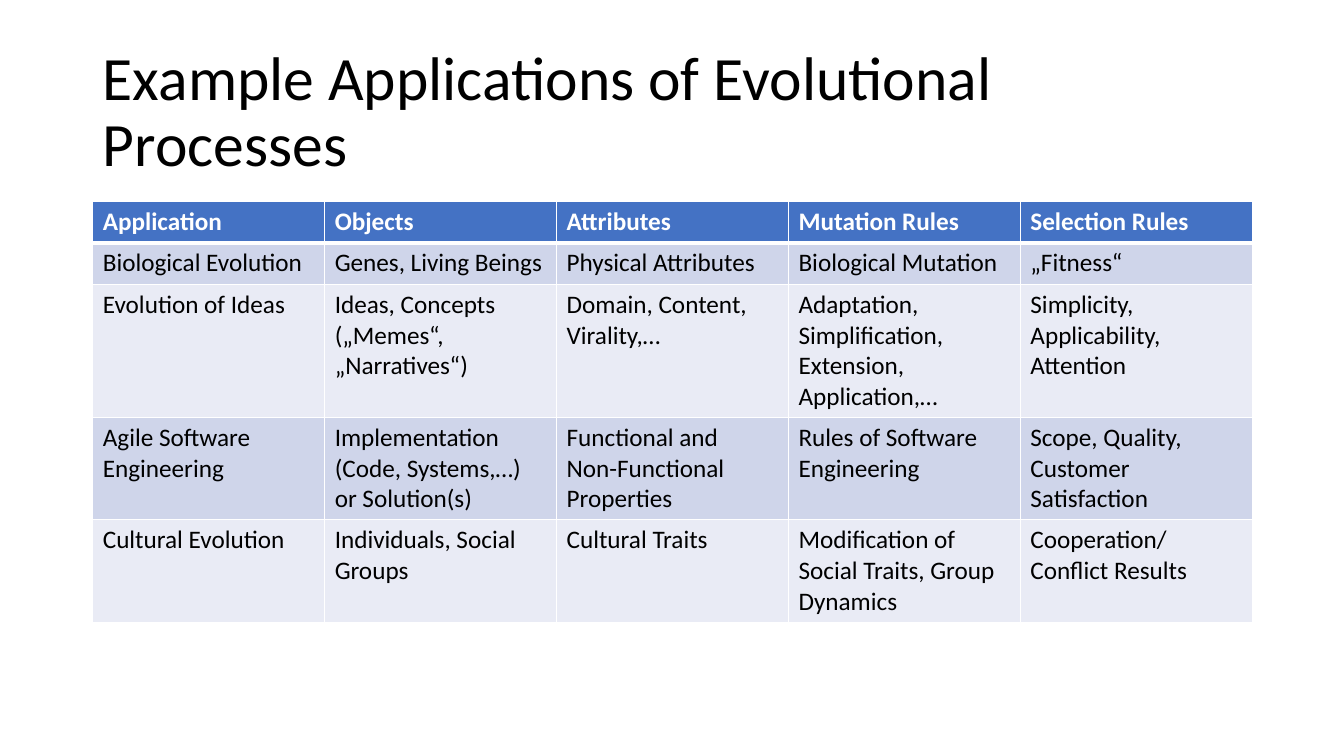
from lxml.etree import SubElement
from pptx import Presentation
from pptx.dml.color import RGBColor
from pptx.enum.text import MSO_ANCHOR, MSO_AUTO_SIZE, PP_ALIGN
from pptx.oxml.ns import qn
from pptx.util import Inches, Pt

TITLE = "Example Applications of Evolutional Processes"
ROWS = [
    ("Application", "Objects", "Attributes", "Mutation Rules", "Selection Rules"),
    ("Biological Evolution", "Genes, Living Beings", "Physical Attributes",
     "Biological Mutation", "„Fitness“"),
    ("Evolution of Ideas", "Ideas, Concepts („Memes“, „Narratives“)",
     "Domain, Content, Virality,…",
     "Adaptation, Simplification,\nExtension, Application,…",
     "Simplicity, Applicability, Attention"),
    ("Agile Software Engineering", "Implementation (Code, Systems,…) or Solution(s)",
     "Functional and\nNon-Functional Properties", "Rules of Software Engineering",
     "Scope, Quality, Customer Satisfaction"),
    ("Cultural Evolution", "Individuals, Social Groups", "Cultural Traits",
     "Modification of Social Traits, Group Dynamics", "Cooperation/ Conflict Results"),
]
FONT = "Calibri"
BLACK = RGBColor(0x00, 0x00, 0x00)
WHITE = RGBColor(0xFF, 0xFF, 0xFF)
HEADER_BLUE = RGBColor(0x44, 0x72, 0xC4)
BANDS = (RGBColor(0xE9, 0xEB, 0xF5), RGBColor(0xCF, 0xD5, 0xEA))
LEFT, WIDTH = 0.92, 11.5
TABLE_TOP, ROW_HEIGHT = 2, 0.41
THIN, THICK = 1, 3


def style_text(frame, size, color, bold=False):
    """Format every run of a text frame."""
    for para in frame.paragraphs:
        para.alignment = PP_ALIGN.LEFT
        for span in para.runs:
            span.font.name = FONT
            span.font.size = Pt(size)
            span.font.bold = bold
            span.font.color.rgb = color


def add_borders(cell, top, bottom):
    """Draw white borders around a cell."""
    properties = cell._tc.get_or_add_tcPr()
    for side, width in (("L", THIN), ("R", THIN), ("T", top), ("B", bottom)):
        line = SubElement(properties, qn(f"a:ln{side}"), w=str(Pt(width)))
        fill = SubElement(line, qn("a:solidFill"))
        SubElement(fill, qn("a:srgbClr"), val=str(WHITE))


def add_title(page):
    """Place and format the slide title."""
    title = page.shapes.title
    title.left, title.top = Inches(LEFT), Inches(0.4)
    title.width, title.height = Inches(WIDTH), Inches(1.45)
    frame = title.text_frame
    frame.text = TITLE
    frame.word_wrap = True
    frame.auto_size = MSO_AUTO_SIZE.NONE
    frame.vertical_anchor = MSO_ANCHOR.MIDDLE
    frame.paragraphs[0].line_spacing = 0.9
    style_text(frame, 44, BLACK)


def add_applications(page):
    """Build the banded table of applications."""
    table = page.shapes.add_table(
        len(ROWS), len(ROWS[0]), Inches(LEFT), Inches(TABLE_TOP),
        Inches(WIDTH), Inches(ROW_HEIGHT * len(ROWS))).table
    for row, texts in enumerate(ROWS):
        header = row == 0
        for column, text in enumerate(texts):
            cell = table.cell(row, column)
            cell.text_frame.text = text
            style_text(cell.text_frame, 18, WHITE if header else BLACK, header)
            add_borders(cell, THICK if row == 1 else THIN, THICK if header else THIN)
            cell.fill.solid()
            cell.fill.fore_color.rgb = HEADER_BLUE if header else BANDS[row % 2]


def main():
    """Create the deck with its single slide."""
    deck = Presentation()
    deck.slide_width, deck.slide_height = Inches(13.33), Inches(7.5)
    page = deck.slides.add_slide(deck.slide_layouts[5])
    add_title(page)
    add_applications(page)
    deck.save("out.pptx")


if __name__ == "__main__":
    main()
